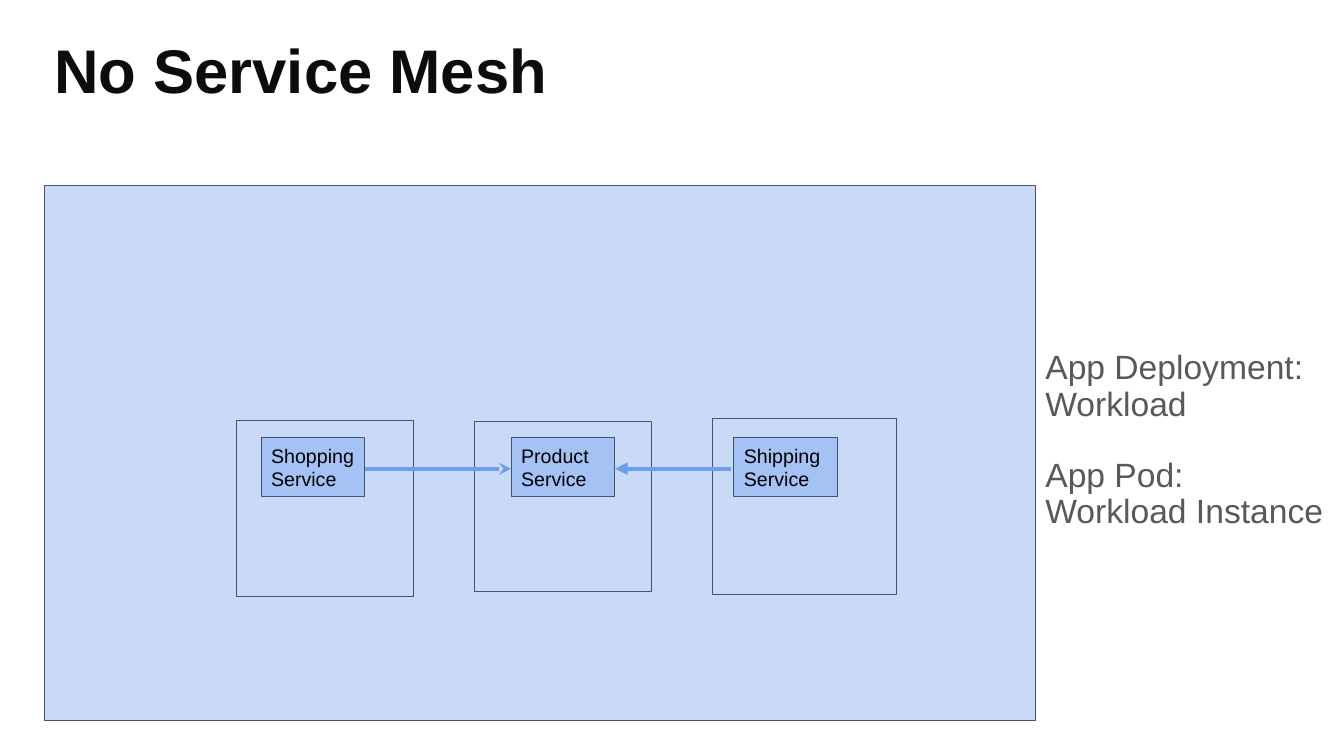
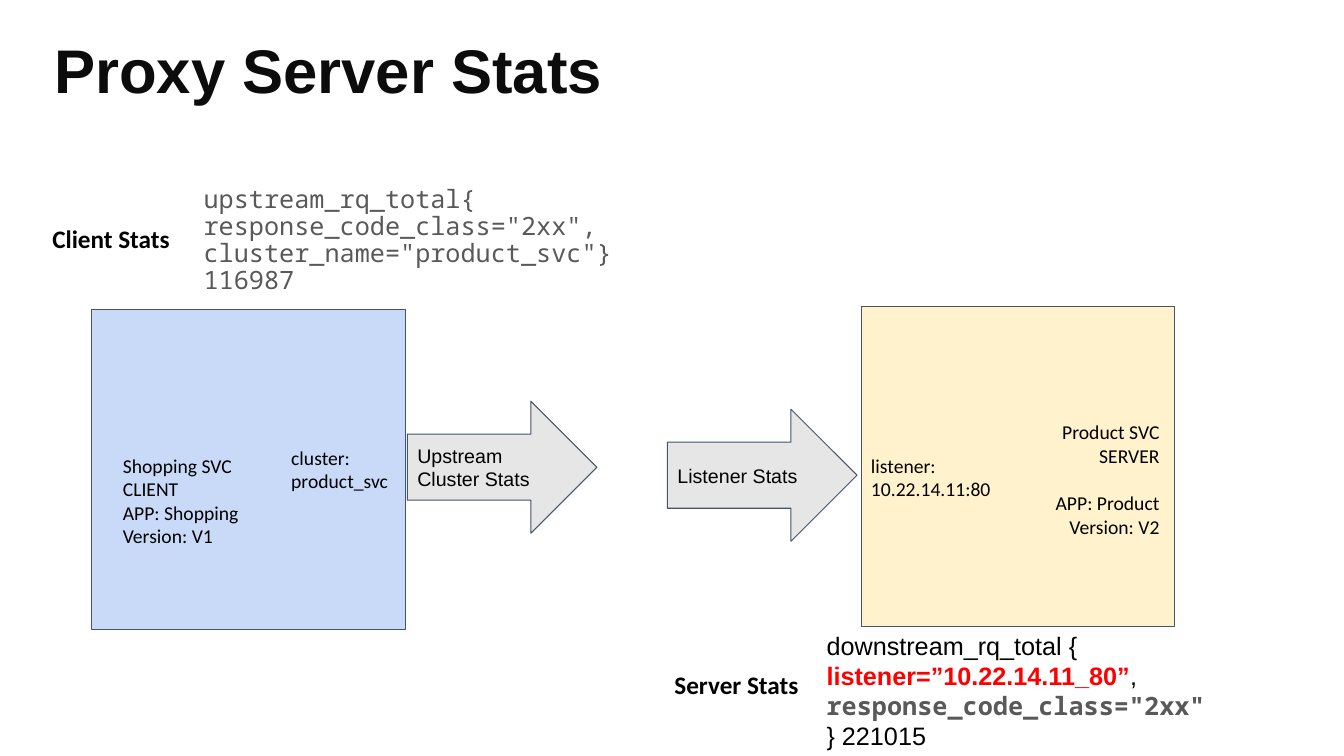
from lxml import etree
from pptx import Presentation
from pptx.dml.color import RGBColor
from pptx.enum.shapes import MSO_CONNECTOR, MSO_SHAPE
from pptx.enum.text import MSO_ANCHOR, PP_ALIGN
from pptx.oxml.ns import qn
from pptx.util import Pt

PX = 9144  # 100 px to the inch
RECT, RIGHT_ARROW = MSO_SHAPE.RECTANGLE, MSO_SHAPE.RIGHT_ARROW
STRAIGHT = MSO_CONNECTOR.STRAIGHT
TOP, MIDDLE = MSO_ANCHOR.TOP, MSO_ANCHOR.MIDDLE
LEFT, RIGHT = PP_ALIGN.LEFT, PP_ALIGN.RIGHT

BLACK = RGBColor(0x00, 0x00, 0x00)
TITLE_INK = RGBColor(0x0C, 0x0C, 0x0C)
GREY_INK = RGBColor(0x59, 0x59, 0x59)
RED = RGBColor(0xFF, 0x00, 0x00)
OUTLINE = RGBColor(0x44, 0x54, 0x6A)
PALE_BLUE = RGBColor(0xC9, 0xDA, 0xF8)
SERVICE_BLUE = RGBColor(0xA4, 0xC2, 0xF4)
CALL_BLUE = RGBColor(0x6D, 0x9E, 0xEB)
CREAM = RGBColor(0xFF, 0xF2, 0xCC)
ARROW_GREY = RGBColor(0xE7, 0xE6, 0xE6)

SANS, LABEL, MONO = "Arial", "Calibri", "Noto Sans Mono"

TITLE_AT = (44, 0, 1150, 145)

# Slide 1
CLUSTER_AT = (44, 184, 983, 531)
PODS = [(235, 417, 175, 175), (471, 418, 175, 169), (707, 415, 182, 175)]
SERVICES = [("Shopping Service", 259), ("Product Service", 507), ("Shipping Service", 728)]
SERVICE_TOP, SERVICE_W, SERVICE_H = 434, 103, 59
CALL_Y = 465
CALLS = [(362, 507, "stealth"), (725, 610, "triangle")]
TERMS = ["App Deployment: Workload", "App Pod:", "Workload Instance"]
TERMS_AT = (1027, 189, 306, 497)

# Slide 2
PANELS = [((91, 307, 311, 318), PALE_BLUE), ((854, 304, 311, 318), CREAM)]
FLOWS = [("Upstream Cluster Stats", 404, 398), ("Listener Stats", 662, 406)]
FLOW_W, FLOW_H = 188, 131
HEADINGS = [("Client Stats", 42, 212), ("Server Stats", 659, 654)]
HEADING_W, HEADING_H = 152, 55
ENDPOINTS = [
    ("cluster: product_svc", (279, 432, 136, 81)),
    ("listener: 10.22.14.11:80", (854, 440, 144, 81)),
]
CLIENT = ["Shopping SVC", "CLIENT", "APP: Shopping", "Version: V1"]
CLIENT_AT = (112, 440, 136, 154)
SERVER = ["Product SVC", "SERVER", "APP: Product", "Version: V2"]
SERVER_AT = (937, 407, 223, 55)
CLIENT_STATS = [
    "upstream_rq_total{",
    'response_code_class="2xx",',
    'cluster_name="product_svc"} 116987',
]
CLIENT_STATS_AT = (142, 175, 489, 131)
SERVER_STATS = [
    "downstream_rq_total {",
    [
        ("listener=”10.22.14.11_80”", {"color": RED, "bold": True}),
        (", ", {}),
        ('response_code_class="2xx"', {"font": MONO, "color": GREY_INK, "bold": True}),
        ("} 221015", {}),
    ],
]
SERVER_STATS_AT = (810, 615, 400, 131)


def emu(lengths):
    return [length * PX for length in lengths]


def write(shape, paragraphs, *, size=14, font=SANS, color=BLACK, bold=False, align=LEFT,
          anchor=TOP, spacing=None, inset=10, indent=0, gaps=None):
    """Fill a shape with paragraphs: strings or lists of (text, run overrides).

    gaps maps a paragraph's index to the points of space above it.
    """
    frame = shape.text_frame
    frame.word_wrap = True
    frame.vertical_anchor = anchor
    frame.margin_left = frame.margin_right = 10 * PX
    frame.margin_top = frame.margin_bottom = inset * PX
    for index, content in enumerate(paragraphs):
        paragraph = frame.add_paragraph() if index else frame.paragraphs[0]
        paragraph.alignment = align
        paragraph.line_spacing = spacing
        paragraph.space_before = Pt((gaps or {}).get(index, 0))
        if indent:
            properties = paragraph._p.get_or_add_pPr()
            properties.set("marL", str(indent * PX))
            properties.set("indent", "0")
        for text, changes in [(content, {})] if isinstance(content, str) else content:
            look = {"font": font, "color": color, "bold": bold, **changes}
            run = paragraph.add_run()
            run.text = text
            run.font.size = Pt(size)
            run.font.name = look["font"]
            run.font.bold = look["bold"]
            run.font.color.rgb = look["color"]


def add_text(slide, at, paragraphs, **style):
    write(slide.shapes.add_textbox(*emu(at)), paragraphs, **style)


def add_block(slide, at, fill, text=None, kind=RECT):
    block = slide.shapes.add_shape(kind, *emu(at))
    block.shadow.inherit = False
    block.fill.solid()
    block.fill.fore_color.rgb = fill
    block.line.color.rgb = OUTLINE
    block.line.width = Pt(0.75)
    if text:
        write(block, [text], anchor=MIDDLE)


def add_call(slide, start, end, head):
    call = slide.shapes.add_connector(STRAIGHT, *emu((start, CALL_Y, end, CALL_Y)))
    call.line.color.rgb = CALL_BLUE
    call.line.width = Pt(3)
    etree.SubElement(call.line._get_or_add_ln(), qn("a:tailEnd"), type=head)
    etree.SubElement(call._element.spPr, qn("a:effectLst"))


def add_titled_slide(deck, title):
    slide = deck.slides.add_slide(deck.slide_layouts[6])
    add_text(slide, TITLE_AT, [title], size=44, color=TITLE_INK, bold=True,
             anchor=MIDDLE, spacing=0.9, inset=5)
    return slide


def build_no_mesh(deck):
    slide = add_titled_slide(deck, "No Service Mesh")
    for at in [CLUSTER_AT, *PODS]:
        add_block(slide, at, PALE_BLUE)
    for service, left in SERVICES:
        add_block(slide, (left, SERVICE_TOP, SERVICE_W, SERVICE_H), SERVICE_BLUE, service)
    for call in CALLS:
        add_call(slide, *call)
    add_text(slide, TERMS_AT, TERMS, size=24, color=GREY_INK, anchor=MIDDLE,
             spacing=0.9, inset=5, gaps={1: 25})


def build_server_stats(deck):
    slide = add_titled_slide(deck, "Proxy Server Stats")
    for at, fill in PANELS:
        add_block(slide, at, fill)
    for flow, left, top in FLOWS:
        add_block(slide, (left, top, FLOW_W, FLOW_H), ARROW_GREY, flow, RIGHT_ARROW)
    add_text(slide, CLIENT_AT, CLIENT, font=LABEL)
    add_text(slide, SERVER_AT, SERVER, font=LABEL, align=RIGHT, gaps={2: 17})
    for endpoint, at in ENDPOINTS:
        add_text(slide, at, [endpoint], font=LABEL)
    for heading, left, top in HEADINGS:
        add_text(slide, (left, top, HEADING_W, HEADING_H), [heading],
                 size=18, font=LABEL, bold=True)
    add_text(slide, CLIENT_STATS_AT, CLIENT_STATS, size=18, font=MONO, color=GREY_INK,
             spacing=0.9, indent=50)
    add_text(slide, SERVER_STATS_AT, SERVER_STATS, size=18)


def main():
    deck = Presentation()
    deck.slide_width, deck.slide_height = emu((1333, 750))
    build_no_mesh(deck)
    build_server_stats(deck)
    deck.save("out.pptx")


if __name__ == "__main__":
    main()
